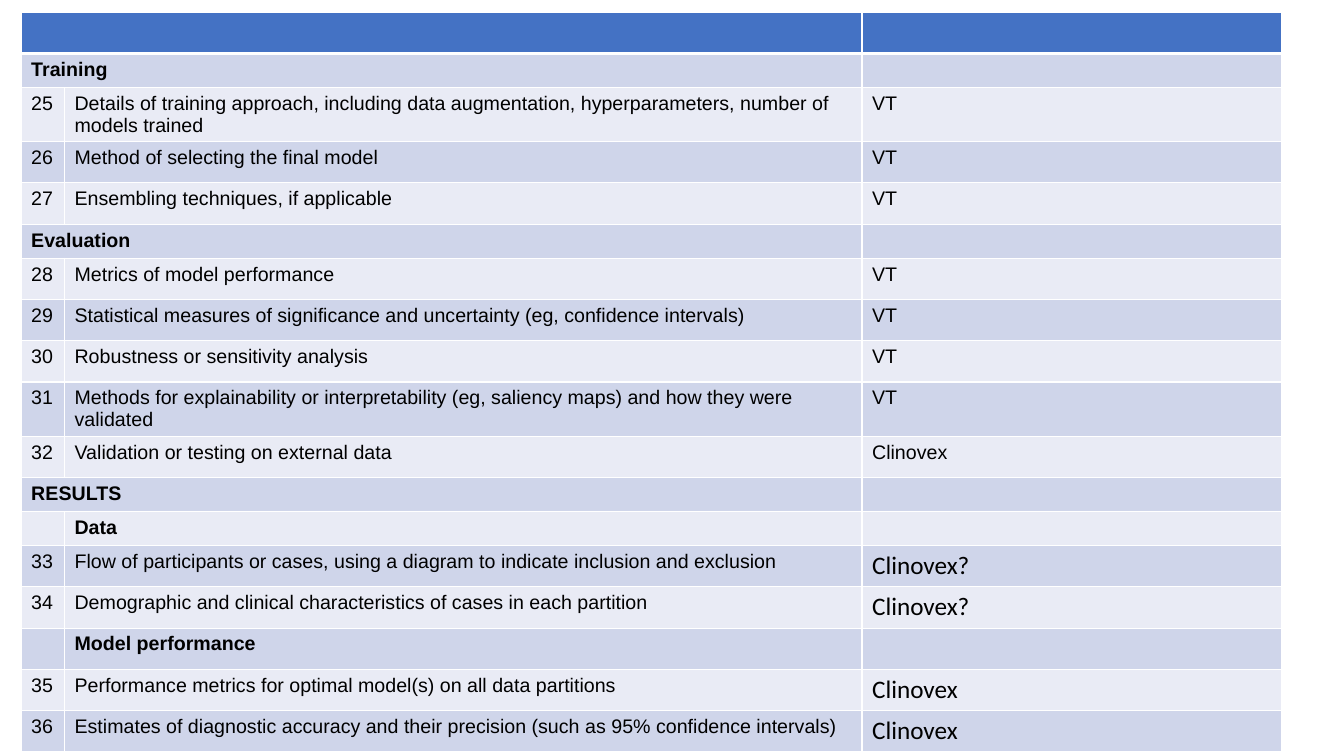
from lxml import etree
from pptx import Presentation
from pptx.dml.color import RGBColor
from pptx.oxml.ns import qn
from pptx.util import Pt

PX = 9144
HEADER = RGBColor(0x44, 0x72, 0xC4)
BAND_DARK = RGBColor(0xCF, 0xD5, 0xEA)
BAND_LIGHT = RGBColor(0xE9, 0xEB, 0xF5)
BLACK = RGBColor(0, 0, 0)
WHITE = RGBColor(255, 255, 255)

BODY = {"name": "Arial", "size": Pt(14), "bold": False}
HEADING = {**BODY, "bold": True}
LARGE = {"name": "Calibri", "size": Pt(18), "bold": False}

COLUMNS = [43, 791, 416]
ROW_HEIGHT = 41
ROWS = [
    (ROW_HEIGHT, "", "", "", LARGE),
    (30, "Training", "", "", BODY),
    (ROW_HEIGHT, "25", "Details of training approach, including data augmentation, "
     "hyperparameters, number of models trained", "VT", BODY),
    (ROW_HEIGHT, "26", "Method of selecting the final model", "VT", BODY),
    (ROW_HEIGHT, "27", "Ensembling techniques, if applicable", "VT", BODY),
    (32, "Evaluation", "", "", BODY),
    (ROW_HEIGHT, "28", "Metrics of model performance", "VT", BODY),
    (ROW_HEIGHT, "29", "Statistical measures of significance and uncertainty "
     "(eg, confidence intervals)", "VT", BODY),
    (ROW_HEIGHT, "30", "Robustness or sensitivity analysis", "VT", BODY),
    (ROW_HEIGHT, "31", "Methods for explainability or interpretability "
     "(eg, saliency maps) and how they were validated", "VT", BODY),
    (ROW_HEIGHT, "32", "Validation or testing on external data", "Clinovex", BODY),
    (33, "RESULTS", "", "", BODY),
    (29, "", "Data", "", BODY),
    (ROW_HEIGHT, "33", "Flow of participants or cases, using a diagram to indicate "
     "inclusion and exclusion", "Clinovex?", LARGE),
    (ROW_HEIGHT, "34", "Demographic and clinical characteristics of cases in each "
     "partition", "Clinovex?", LARGE),
    (ROW_HEIGHT, "", "Model performance", "", BODY),
    (ROW_HEIGHT, "35", "Performance metrics for optimal model(s) on all data "
     "partitions", "Clinovex", LARGE),
    (ROW_HEIGHT, "36", "Estimates of diagnostic accuracy and their precision "
     "(such as 95% confidence intervals)", "Clinovex", LARGE),
]


class Deck:
    def __init__(self, width, height):
        self.prs = Presentation()
        self.prs.slide_width = width * PX
        self.prs.slide_height = height * PX
        self.slide = self.prs.slides.add_slide(self.prs.slide_layouts[6])

    def border(self, cell, sides):
        tc_pr = cell._tc.get_or_add_tcPr()
        for side, points in sides.items():
            ln = etree.SubElement(tc_pr, qn(f"a:ln{side}"), w=str(Pt(points)))
            fill = etree.SubElement(ln, qn("a:solidFill"))
            etree.SubElement(fill, qn("a:srgbClr"), val=str(WHITE))

    def shade(self, cell, color):
        cell.fill.solid()
        cell.fill.fore_color.rgb = color

    def label(self, cell, text, style):
        p = cell.text_frame.paragraphs[0]
        if not text:
            size = str(int(style["size"].pt * 100))
            etree.SubElement(p._p, qn("a:endParaRPr"), sz=size)
            return
        r = p.add_run()
        r.text = text
        for key, value in style.items():
            setattr(r.font, key, value)
        r.font.color.rgb = BLACK

    def checklist(self, left, top, columns, rows):
        heights = [row[0] for row in rows]
        frame = self.slide.shapes.add_table(
            len(rows), len(columns), left * PX, top * PX,
            sum(columns) * PX, sum(heights) * PX)
        table = frame.table
        for column, width in zip(table.columns, columns):
            column.width = width * PX
        for i, (height, number, item, owner, owner_style) in enumerate(rows):
            table.rows[i].height = height * PX
            is_section = i == 0 or bool(number and not item)
            is_heading = is_section or not number
            text_style = HEADING if is_heading else BODY
            color = HEADER if i == 0 else (BAND_LIGHT, BAND_DARK)[i % 2]
            sides = {"L": 1, "R": 1, "T": 3 if i == 1 else 1, "B": 3 if i == 0 else 1}
            contents = [(number, text_style), (item, text_style), (owner, owner_style)]
            for j, (text, style) in enumerate(contents):
                cell = table.cell(i, j)
                self.border(cell, sides)
                self.shade(cell, color)
                self.label(cell, text, style)
            if is_section:
                table.cell(i, 0).merge(table.cell(i, 1))


def main():
    deck = Deck(1333, 750)
    deck.checklist(21, 12, COLUMNS, ROWS)
    deck.prs.save("out.pptx")


if __name__ == "__main__":
    main()
